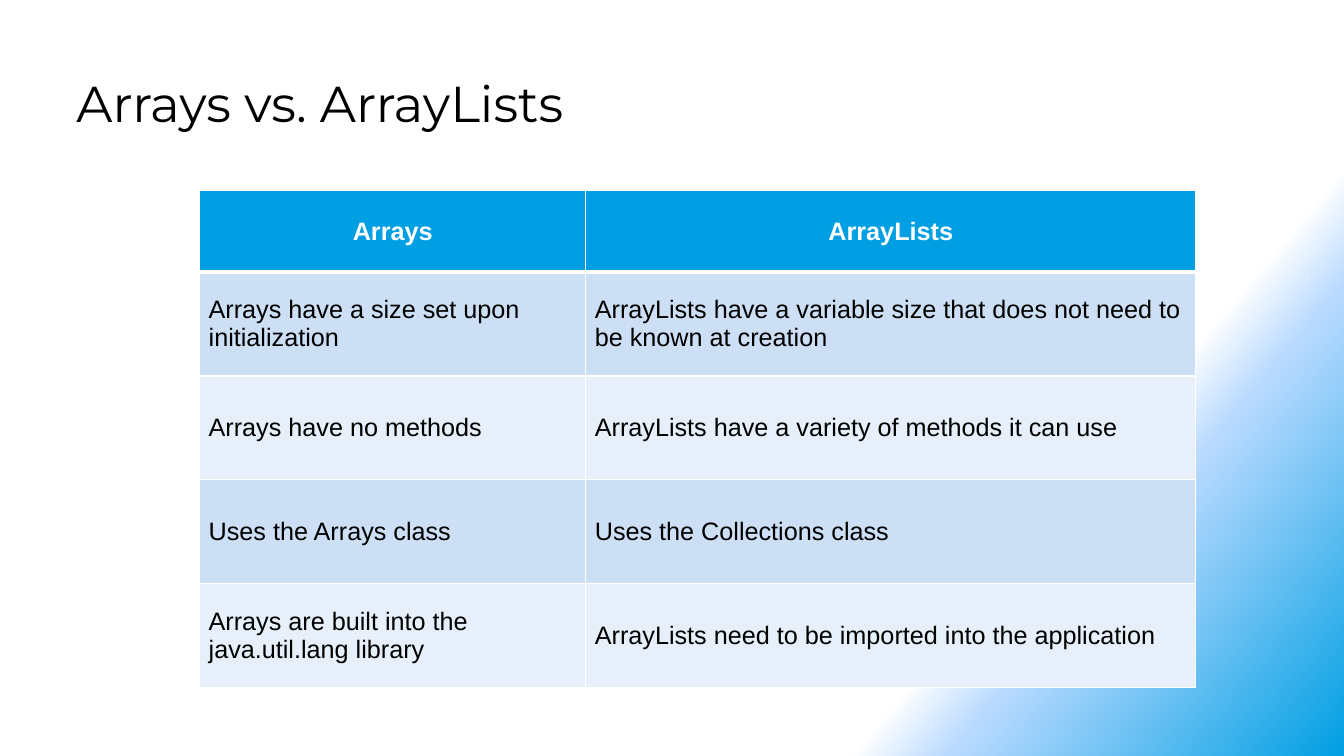
import pptx
import pptx.util
import pptx.dml.color
import pptx.enum.text
import pptx.oxml
from dataclasses import dataclass

Inches, Pt = pptx.util.Inches, pptx.util.Pt
RGB = pptx.dml.color.RGBColor.from_string
NS = 'xmlns:a="http://schemas.openxmlformats.org/drawingml/2006/main"'


@dataclass(frozen=True)
class Theme:
    """Colours, fonts and type sizes of the slide."""
    ink: str = "000000"
    paper: str = "FFFFFF"
    accent: str = "009FE3"
    glow: str = "B9DAFF"
    bands: tuple = ("CCDFF4", "E7F0FA")
    title_font: str = "Montserrat"
    body_font: str = "Arial"
    title_size: int = 36
    body_size: int = 18


theme = Theme()


def add_run(paragraph, words, font, size, color, bold=False):
    """Add one styled run to a paragraph."""
    run = paragraph.add_run()
    run.text = words
    run.font.name, run.font.size, run.font.bold = font, Pt(size), bold
    run.font.color.rgb = RGB(color)


def set_border(cell, side, points):
    """Draw one solid edge of a table cell; call before filling the cell."""
    cell._tc.get_or_add_tcPr().append(pptx.oxml.parse_xml(
        f'<a:ln{side} {NS} w="{Pt(points)}"><a:solidFill>'
        f'<a:srgbClr val="{theme.paper}"/></a:solidFill></a:ln{side}>'))


deck = pptx.Presentation()
deck.slide_width, deck.slide_height = Inches(13.33), Inches(7.5)
slide = deck.slides.add_slide(deck.slide_layouts[6])

# Background: white, sweeping to blue in the lower right corner
backdrop = slide.background.fill
backdrop.gradient()
gradient = backdrop._fill._gradFill
for part in list(gradient):
    gradient.remove(part)
gradient.append(pptx.oxml.parse_xml(
    f'<a:gsLst {NS}>'
    f'<a:gs pos="75000"><a:srgbClr val="{theme.paper}"/></a:gs>'
    f'<a:gs pos="80000"><a:srgbClr val="{theme.glow}"><a:alpha val="50000"/></a:srgbClr></a:gs>'
    f'<a:gs pos="100000"><a:srgbClr val="{theme.accent}"/></a:gs></a:gsLst>'))
gradient.append(pptx.oxml.parse_xml(f'<a:lin {NS} ang="{40 * 60000}" scaled="0"/>'))

# Title
heading = slide.shapes.add_textbox(
    Inches(0.66), Inches(0.67), Inches(12.03), Inches(1.22)).text_frame
heading.word_wrap = True
add_run(heading.paragraphs[0], "Arrays vs. ArrayLists",
        theme.title_font, theme.title_size, theme.ink)

# Comparison table
comparison = [
    ("Arrays", "ArrayLists"),
    ("Arrays have a size set upon initialization",
     "ArrayLists have a variable size that does not need to be known at creation"),
    ("Arrays have no methods", "ArrayLists have a variety of methods it can use"),
    ("Uses the Arrays class", "Uses the Collections class"),
    ("Arrays are built into the java.util.lang library",
     "ArrayLists need to be imported into the application"),
]
column_widths = (3.83, 6.05)
row_heights = [0.81] + [1.03] * (len(comparison) - 1)
grid = slide.shapes.add_table(
    len(comparison), len(column_widths), Inches(1.98), Inches(1.89),
    Inches(sum(column_widths)), Inches(sum(row_heights))).table
for column, width in zip(grid.columns, column_widths):
    column.width = Inches(width)

for r, (statements, height) in enumerate(zip(comparison, row_heights)):
    grid.rows[r].height = Inches(height)
    header = r == 0
    for c, statement in enumerate(statements):
        cell = grid.cell(r, c)
        edges = {"L": 1, "R": 1, "T": 3 if r == 1 else 1, "B": 3 if header else 1}
        for side, points in edges.items():
            set_border(cell, side, points)
        cell.fill.solid()
        cell.fill.fore_color.rgb = RGB(theme.accent if header else theme.bands[(r - 1) % 2])
        cell.margin_left = cell.margin_right = Inches(0.09)
        cell.margin_top = cell.margin_bottom = Inches(0.05)
        cell.vertical_anchor = pptx.enum.text.MSO_ANCHOR.MIDDLE
        paragraph = cell.text_frame.paragraphs[0]
        if header:
            paragraph.alignment = pptx.enum.text.PP_ALIGN.CENTER
        add_run(paragraph, statement, theme.body_font, theme.body_size,
                theme.paper if header else theme.ink, bold=header)

deck.save("out.pptx")
